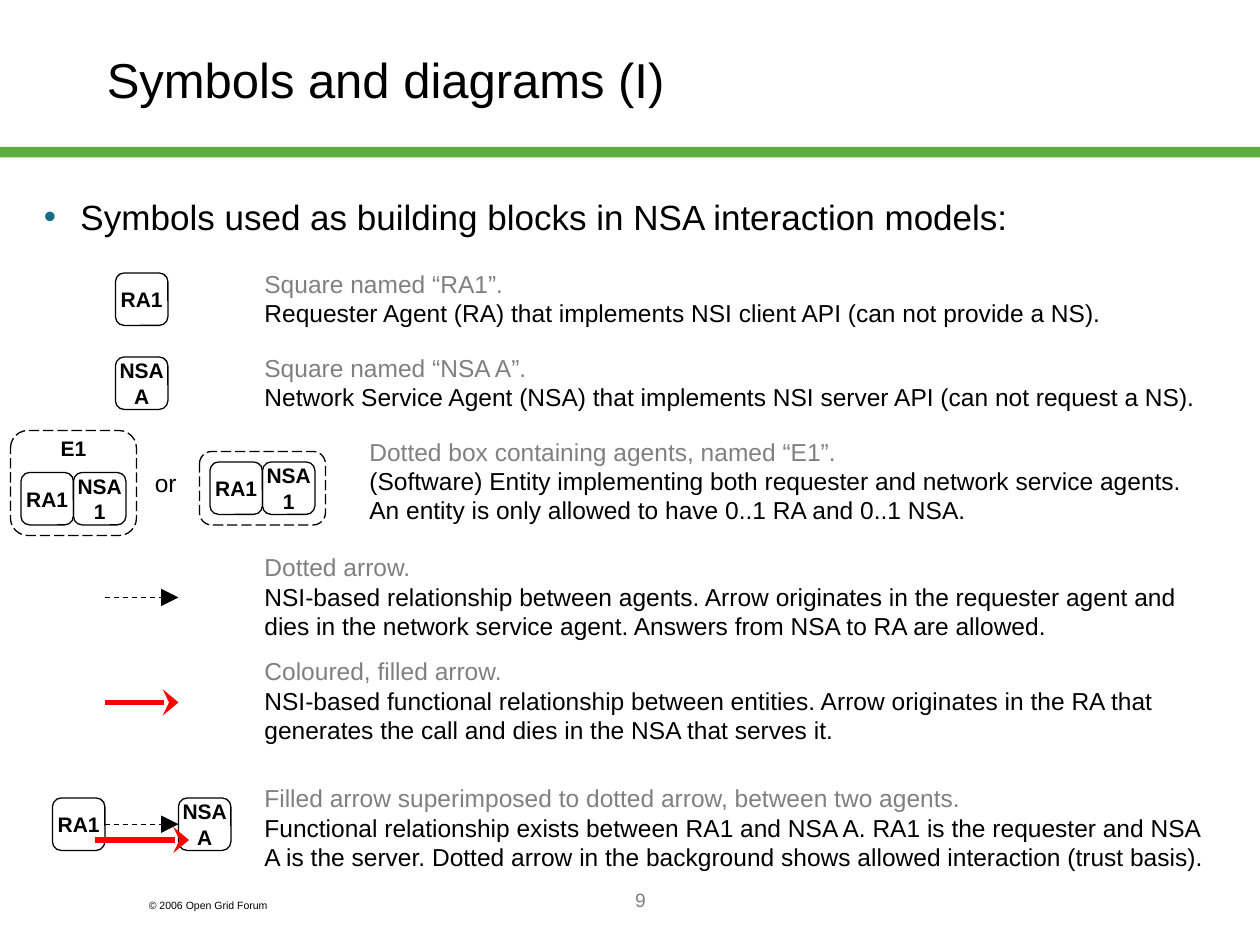
"""Build the slide that explains the symbols used in NSA interaction models."""
from typing import NamedTuple

from lxml import etree
from pptx import Presentation
from pptx.dml.color import RGBColor
from pptx.enum.dml import MSO_LINE
from pptx.enum.shapes import MSO_CONNECTOR, MSO_SHAPE
from pptx.enum.text import MSO_ANCHOR, PP_ALIGN
from pptx.oxml.ns import qn
from pptx.util import Inches, Pt

DASH, LONG_DASH = MSO_LINE.DASH, MSO_LINE.LONG_DASH
STRAIGHT = MSO_CONNECTOR.STRAIGHT
RECT, ROUND_RECT = MSO_SHAPE.RECTANGLE, MSO_SHAPE.ROUNDED_RECTANGLE
TOP, MIDDLE = MSO_ANCHOR.TOP, MSO_ANCHOR.MIDDLE
LEFT, CENTER, RIGHT = PP_ALIGN.LEFT, PP_ALIGN.CENTER, PP_ALIGN.RIGHT

COLORS = {"black": "000000", "gray": "808080", "green": "5DAD41",
          "red": "FF0000", "teal": "176D89"}
FONT = "Arial"
COLS, ROWS = 120, 90
CELL = Inches(10) / COLS
AGENT_SIZE = 5
TEXT_RIGHT = 117


class Agent(NamedTuple):
    name: str
    col: float
    row: float


class Entity(NamedTuple):
    name: str
    col: float
    row: float
    height: float


class Arrow(NamedTuple):
    start: float
    end: float
    row: float
    filled: bool


class Entry(NamedTuple):
    col: float
    row: float
    height: float
    symbol: str
    meaning: str


AGENTS = [
    Agent("RA1", 11, 26),
    Agent("NSA\nA", 11, 34),
    Agent("RA1", 20, 44),
    Agent("NSA\n1", 25, 44),
    Agent("RA1", 2, 45),
    Agent("NSA\n1", 7, 45),
    Agent("RA1", 5, 76),
    Agent("NSA\nA", 17, 76),
]
ENTITIES = [Entity("", 19, 43, 7), Entity("E1", 1, 41, 10)]
ARROWS = [
    Arrow(10, 17, 56.9, False),
    Arrow(10, 17, 66.9, True),
    Arrow(10, 17, 78.5, False),
    Arrow(9, 18, 80, True),
]
ENTRIES = [
    Entry(24, 25, 6.8, "Square named “RA1”.",
          "Requester Agent (RA) that implements NSI client API (can not provide a NS)."),
    Entry(24, 33, 6.8, "Square named “NSA A”.",
          "Network Service Agent (NSA) that implements NSI server API (can not request a NS)."),
    Entry(34, 41, 9.6, "Dotted box containing agents, named “E1”.",
          "(Software) Entity implementing both requester and network service agents.\n"
          "An entity is only allowed to have 0..1 RA and 0..1 NSA."),
    Entry(24, 52, 9.6, "Dotted arrow.",
          "NSI-based relationship between agents. Arrow originates in the requester agent "
          "and dies in the network service agent. Answers from NSA to RA are allowed."),
    Entry(24, 61.9, 9.6, "Coloured, filled arrow.",
          "NSI-based functional relationship between entities. Arrow originates in the RA "
          "that generates the call and dies in the NSA that serves it."),
    Entry(24, 74, 9.6, "Filled arrow superimposed to dotted arrow, between two agents.",
          "Functional relationship exists between RA1 and NSA A. RA1 is the requester and "
          "NSA A is the server. Dotted arrow in the background shows allowed interaction "
          "(trust basis)."),
]


def rgb(name: str) -> RGBColor:
    return RGBColor.from_string(COLORS[name])


def grid(*cells: float) -> list[int]:
    return [round(n * CELL) for n in cells]


def add_text(tf, text: str, *, size=14, color="black", bold=False, align=LEFT,
             anchor=TOP, margins=None, bullet=None) -> None:
    tf.word_wrap = True
    tf.vertical_anchor = anchor
    if margins is not None:
        tf.margin_left = tf.margin_right = tf.margin_top = tf.margin_bottom = margins
    for line in text.split("\n"):
        p = tf.add_paragraph() if tf.paragraphs[0].runs else tf.paragraphs[0]
        p.alignment = align
        if bullet:
            add_bullet(p, bullet)
        r = p.add_run()
        r.text = line
        r.font.name, r.font.size, r.font.bold = FONT, Pt(size), bold
        r.font.color.rgb = rgb(color)


def add_bullet(p, color: str) -> None:
    pPr = p._p.get_or_add_pPr()
    indent = Inches(0.29)
    pPr.set("marL", str(indent))
    pPr.set("indent", str(-indent))
    clr = etree.SubElement(pPr, qn("a:buClr"))
    etree.SubElement(clr, qn("a:srgbClr"), val=COLORS[color])
    etree.SubElement(pPr, qn("a:buFont"), typeface=FONT)
    etree.SubElement(pPr, qn("a:buChar"), char="•")


def add_box(slide, col: float, row: float, width: float, height: float,
            text: str, **fmt):
    tf = slide.shapes.add_textbox(*grid(col, row, width, height)).text_frame
    add_text(tf, text, **fmt)
    return tf


def add_frame(slide, col: float, row: float, width: float, height: float,
              name: str, anchor=MIDDLE, dash=None) -> None:
    sp = slide.shapes.add_shape(ROUND_RECT, *grid(col, row, width, height))
    sp.shadow.inherit = False
    sp.fill.background()
    sp.line.color.rgb = rgb("black")
    sp.line.width = Pt(0.75)
    if dash:
        sp.line.dash_style = dash
    if name:
        add_text(sp.text_frame, name, size=12, bold=True, align=CENTER,
                 anchor=anchor, margins=0)


def add_arrow(slide, arrow: Arrow) -> None:
    ends = grid(arrow.start, arrow.row, arrow.end, arrow.row)
    cxn = slide.shapes.add_connector(STRAIGHT, *ends)
    cxn.line.color.rgb = rgb("red" if arrow.filled else "black")
    cxn.line.width = Pt(3 if arrow.filled else 0.75)
    if not arrow.filled:
        cxn.line.dash_style = DASH
    head, length = ("stealth", "med") if arrow.filled else ("triangle", "lg")
    etree.SubElement(cxn.line._get_or_add_ln(), qn("a:tailEnd"),
                     type=head, w="lg", len=length)
    etree.SubElement(cxn._element.spPr, qn("a:effectLst"))


def main() -> None:
    prs = Presentation()
    prs.slide_width, prs.slide_height = grid(COLS, ROWS)
    slide = prs.slides.add_slide(prs.slide_layouts[6])

    bar = slide.shapes.add_shape(RECT, *grid(0, 14, COLS, 1))
    bar.shadow.inherit = False
    bar.fill.solid()
    bar.fill.fore_color.rgb = rgb("green")
    bar.line.fill.background()

    add_box(slide, 9, 0, 102, 15, "Symbols and diagrams (I)", size=28, anchor=MIDDLE)
    add_box(slide, 3, 18, 111, 5,
            "Symbols used as building blocks in NSA interaction models:",
            size=20, bullet="teal")
    add_box(slide, 13, 85, 18, 2.4, "© 2006 Open Grid Forum", size=6)
    add_box(slide, 26, 84, 70, 6, "9", size=11, color="gray", align=CENTER)
    add_box(slide, 13, 44, 5, 4, "or", align=RIGHT)

    for e in ENTRIES:
        tf = add_box(slide, e.col, e.row, TEXT_RIGHT - e.col, e.height,
                     e.symbol, color="gray")
        add_text(tf, e.meaning)
    for a in AGENTS:
        add_frame(slide, a.col, a.row, AGENT_SIZE, AGENT_SIZE, a.name)
    for e in ENTITIES:
        add_frame(slide, e.col, e.row, 12, e.height, e.name, TOP, LONG_DASH)
    for arrow in ARROWS:
        add_arrow(slide, arrow)

    prs.save("out.pptx")


if __name__ == "__main__":
    main()
